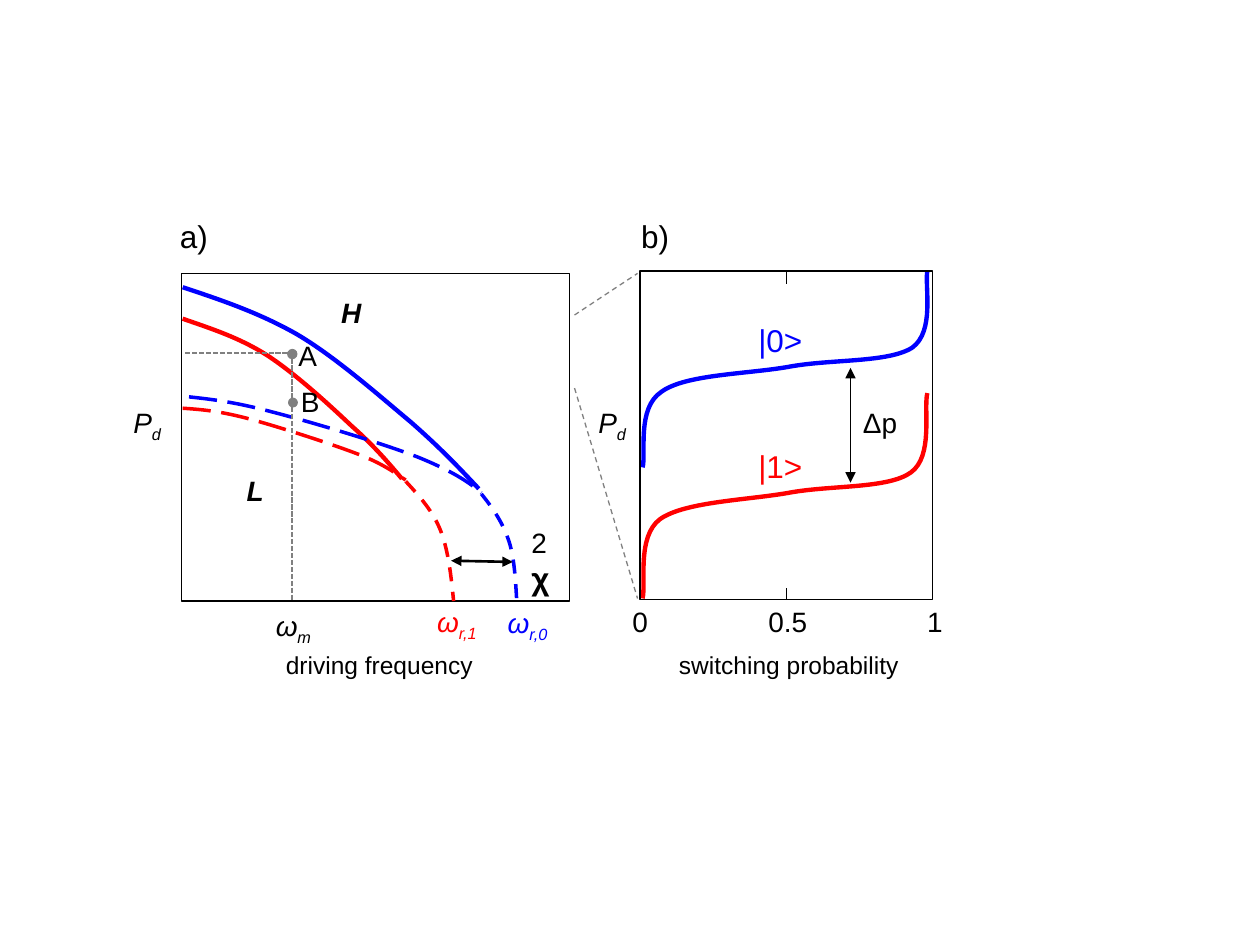
from dataclasses import dataclass

from lxml.etree import SubElement
from pptx import Presentation
from pptx.dml.color import RGBColor
from pptx.enum.dml import MSO_LINE
from pptx.enum.shapes import MSO_CONNECTOR, MSO_SHAPE
from pptx.enum.text import MSO_AUTO_SIZE
from pptx.oxml.ns import qn
from pptx.util import Inches, Pt

BLACK, GRAY, RED, BLUE = "000000", "808080", "FF0000", "0000FF"
Point = tuple[float, float]


@dataclass
class Run:
    text: str
    size: float = 16
    bold: bool = False
    italic: bool = False
    sub: bool = False


@dataclass
class Label:
    left: float
    top: float
    width: float
    height: float
    runs: list[Run]
    color: str = BLACK
    wrap: bool = False


@dataclass
class Curve:
    color: str
    points: list[Point]
    width: float = 2.5
    dash: MSO_LINE | None = None


@dataclass
class Line:
    start: Point
    end: Point
    color: str = BLACK
    width: float = 0.75
    dash: MSO_LINE | None = None
    head: str | None = None
    tail: str | None = None


def rgb(color: str) -> RGBColor:
    return RGBColor.from_string(color)


def style_line(line, color: str, width: float, dash: MSO_LINE | None = None) -> None:
    line.color.rgb = rgb(color)
    line.width = Pt(width)
    if dash is not None:
        line.dash_style = dash


def draw_shape(shapes, kind, left, top, width, height, color, line_width, filled=False):
    s = shapes.add_shape(kind, Inches(left), Inches(top), Inches(width), Inches(height))
    s.shadow.inherit = False
    if filled:
        s.fill.solid()
        s.fill.fore_color.rgb = rgb(color)
    else:
        s.fill.background()
    style_line(s.line, color, line_width)
    return s


def draw_curve(shapes, curve: Curve) -> None:
    start, *rest = [(Inches(x), Inches(y)) for x, y in curve.points]
    builder = shapes.build_freeform(*start)
    builder.add_line_segments(rest, close=False)
    s = builder.convert_to_shape()
    s.shadow.inherit = False
    s.fill.background()
    style_line(s.line, curve.color, curve.width, curve.dash)
    outline = next(s._element.iter(qn("a:path")))
    segments = outline.findall(qn("a:lnTo"))
    for i in range(0, len(segments), 3):
        bezier = SubElement(outline, qn("a:cubicBezTo"))
        for segment in segments[i:i + 3]:
            bezier.append(segment[0])
            outline.remove(segment)


def draw_line(shapes, line: Line):
    ends = [Inches(v) for v in (*line.start, *line.end)]
    s = shapes.add_connector(MSO_CONNECTOR.STRAIGHT, *ends)
    style_line(s.line, line.color, line.width, line.dash)
    ln = s.line._get_or_add_ln()
    for tag, arrow in (("a:headEnd", line.head), ("a:tailEnd", line.tail)):
        if arrow:
            SubElement(ln, qn(tag), type=arrow)
    SubElement(s._element.spPr, qn("a:effectLst"))
    return s


def draw_label(shapes, label: Label) -> None:
    s = shapes.add_textbox(Inches(label.left), Inches(label.top),
                           Inches(label.width), Inches(label.height))
    tf = s.text_frame
    tf.word_wrap = label.wrap
    tf.auto_size = MSO_AUTO_SIZE.SHAPE_TO_FIT_TEXT
    p = tf.paragraphs[0]
    for run in label.runs:
        r = p.add_run()
        r.text = run.text
        r.font.name = "Arial"
        r.font.size = Pt(run.size)
        r.font.bold = run.bold
        r.font.italic = run.italic
        r.font.color.rgb = rgb(label.color)
        if run.sub:
            r._r.get_or_add_rPr().set("baseline", "-25000")


def symbol(base: str, index: str) -> list[Run]:
    return [Run(base, italic=True), Run(index, italic=True, sub=True)]


PROBABILITY_CURVES = [
    Curve(BLUE, [(5.1, 3.71), (5.13, 3.61), (5.05, 3.24), (5.25, 3.11),
                 (5.44, 2.97), (5.94, 2.97), (6.27, 2.91),
                 (6.6, 2.85), (7.05, 2.88), (7.24, 2.76),
                 (7.42, 2.63), (7.34, 2.28), (7.36, 2.15)]),
    Curve(RED, [(5.1, 4.75), (5.13, 4.64), (5.05, 4.26), (5.24, 4.12),
                (5.44, 3.98), (5.94, 3.97), (6.27, 3.91),
                (6.6, 3.85), (7.05, 3.88), (7.23, 3.75),
                (7.41, 3.62), (7.33, 3.25), (7.36, 3.12)]),
]
FREQUENCY_CURVES = [
    Curve(RED, [(1.45, 2.53), (1.68, 2.61), (1.9, 2.68), (2.12, 2.82), (2.35, 2.97),
                (2.62, 3.22), (2.79, 3.38), (2.97, 3.54), (3.08, 3.67), (3.19, 3.8)]),
    Curve(RED, [(1.45, 3.24), (1.59, 3.25), (1.73, 3.26), (1.96, 3.32), (2.19, 3.38),
                (2.62, 3.52), (2.83, 3.6), (3.04, 3.68), (3.13, 3.75), (3.22, 3.81)],
          2, MSO_LINE.LONG_DASH),
    Curve(RED, [(3.22, 3.82), (3.33, 3.94), (3.44, 4.06), (3.5, 4.22),
                (3.56, 4.38), (3.58, 4.57), (3.6, 4.77)], 2, MSO_LINE.DASH),
    Curve(BLUE, [(1.45, 2.28), (1.75, 2.38), (2.05, 2.48), (2.35, 2.65), (2.66, 2.83),
                 (3.02, 3.15), (3.26, 3.35), (3.5, 3.56), (3.65, 3.72), (3.8, 3.88)]),
    Curve(BLUE, [(1.5, 3.15), (1.68, 3.17), (1.86, 3.19), (2.16, 3.27), (2.47, 3.35),
                 (3.04, 3.52), (3.32, 3.63), (3.59, 3.74), (3.71, 3.82), (3.82, 3.91)],
          2, MSO_LINE.LONG_DASH),
    Curve(BLUE, [(3.82, 3.92), (3.9, 4.02), (3.98, 4.13), (4.03, 4.27),
                 (4.08, 4.4), (4.09, 4.58), (4.1, 4.75)], 2, MSO_LINE.DASH),
]
ZOOM_LINES = [
    Line((4.56, 2.5), (5.06, 2.17), GRAY, dash=MSO_LINE.DASH),
    Line((4.56, 3.08), (5.06, 4.75), GRAY, dash=MSO_LINE.DASH),
]
LINES = [
    Line((6.75, 2.92), (6.75, 3.83), head="triangle", tail="triangle"),
    Line((3.58, 4.45), (4.07, 4.46), width=1.5, head="triangle", tail="triangle"),
    Line((1.47, 2.8), (2.33, 2.8), GRAY, 1, MSO_LINE.SQUARE_DOT),
    Line((2.32, 2.81), (2.32, 4.77), GRAY, 1, MSO_LINE.SQUARE_DOT, head="oval"),
]
LABELS = [
    Label(1.33, 1.67, 0.43, 0.4, [Run("a)", 18)]),
    Label(0.96, 3.17, 0.43, 0.37, symbol("P", "d")),
    Label(2.61, 2.3, 0.36, 0.37, [Run("H", bold=True, italic=True)]),
    Label(1.86, 3.71, 0.34, 0.37, [Run("L", bold=True, italic=True)]),
    Label(2.27, 2.64, 0.35, 0.37, [Run("A")]),
    Label(2.29, 3, 0.35, 0.37, [Run("B")]),
    Label(4.12, 4.12, 0.46, 0.4, [Run("2"), Run("χ", 18, bold=True)]),
    Label(2.09, 4.78, 0.48, 0.37, symbol("ω", "m")),
    Label(3.37, 4.75, 0.52, 0.37, symbol("ω", "r,1"), RED),
    Label(3.93, 4.76, 0.52, 0.37, symbol("ω", "r,0"), BLUE),
    Label(2.17, 5.11, 1.69, 0.34, [Run("driving frequency", 14)]),
    Label(4.99, 1.67, 0.43, 0.4, [Run("b)", 18)]),
    Label(4.65, 3.17, 0.43, 0.37, symbol("P", "d")),
    Label(5.92, 2.5, 0.57, 0.4, [Run("|0>", 18)], BLUE),
    Label(5.92, 3.5, 0.55, 0.4, [Run("|1>", 18)], RED),
    Label(6.75, 3.17, 0.48, 0.37, [Run("Δp")]),
    Label(4.92, 4.75, 0.33, 0.37, [Run("0")]),
    Label(6, 4.75, 0.67, 0.37, [Run("0.5")], wrap=True),
    Label(7.26, 4.75, 0.33, 0.37, [Run("1")]),
    Label(5.29, 5.11, 1.96, 0.34, [Run("switching probability", 14)]),
]


def main() -> None:
    prs = Presentation()
    prs.slide_width, prs.slide_height = Inches(10), Inches(7.5)
    shapes = prs.slides.add_slide(prs.slide_layouts[6]).shapes
    for curve in PROBABILITY_CURVES:
        draw_curve(shapes, curve)
    panel = draw_shape(shapes, MSO_SHAPE.RECTANGLE, 5.08, 2.15, 2.32, 2.61, BLACK, 0.75)
    for side, edge, inner in ((0, 2.15, 2.25), (2, 4.76, 4.67)):
        tick = draw_line(shapes, Line((6.24, edge), (6.24, inner)))
        tick.begin_connect(panel, side)
    zoom = shapes.add_group_shape()
    for line in ZOOM_LINES:
        draw_line(zoom.shapes, line)
    draw_shape(shapes, MSO_SHAPE.RECTANGLE, 1.44, 2.17, 3.08, 2.6, BLACK, 0.75)
    for curve in FREQUENCY_CURVES:
        draw_curve(shapes, curve)
    for line in LINES:
        draw_line(shapes, line)
    for label in LABELS:
        draw_label(shapes, label)
    draw_shape(shapes, MSO_SHAPE.OVAL, 2.3, 3.17, 0.05, 0.05, GRAY, 2, filled=True)
    prs.save("out.pptx")


if __name__ == "__main__":
    main()
